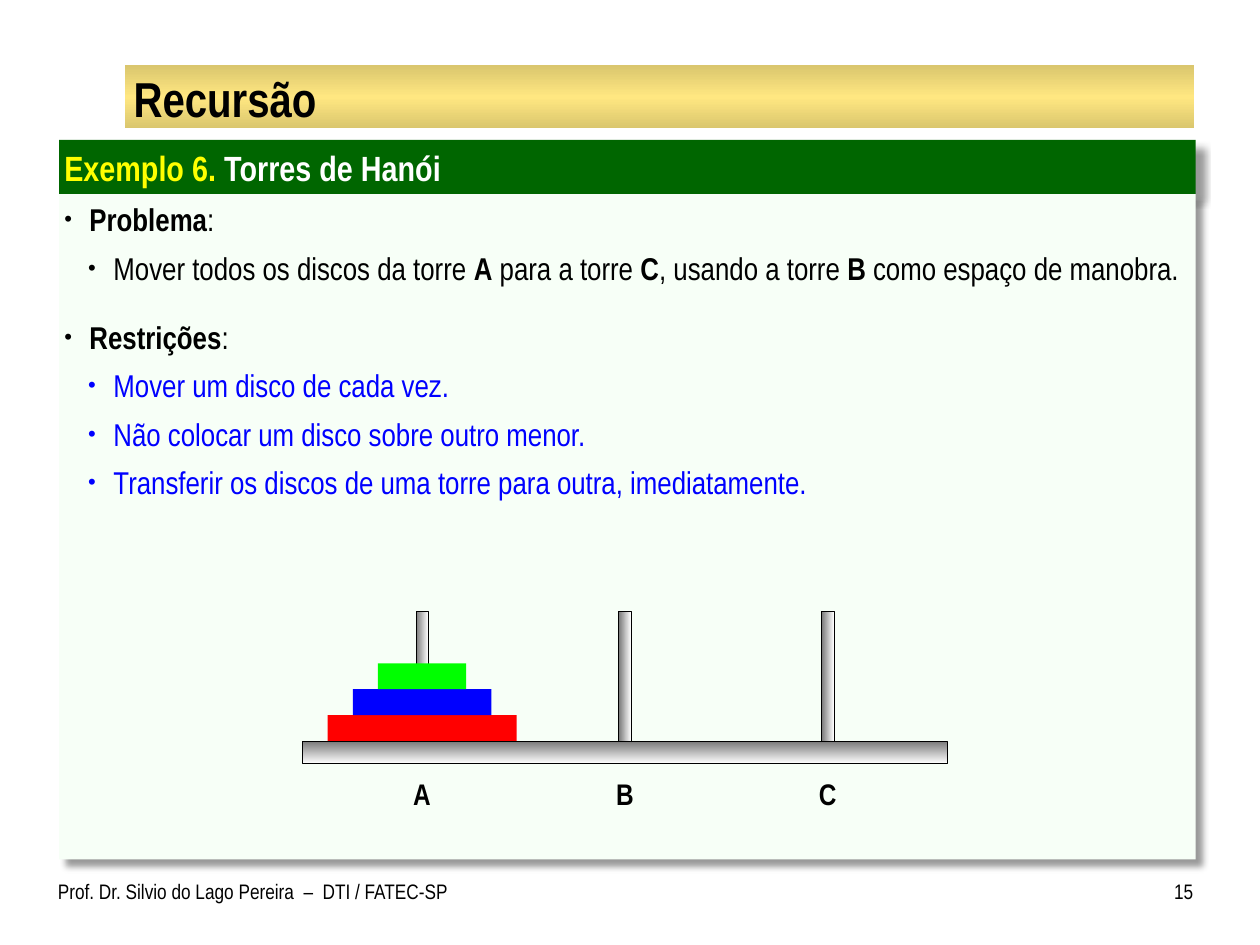
from lxml import etree
from pptx import Presentation
from pptx.dml.color import RGBColor
from pptx.enum.shapes import MSO_SHAPE
from pptx.enum.text import MSO_ANCHOR, PP_ALIGN
from pptx.oxml.ns import qn
from pptx.util import Inches, Pt

RECTANGLE = MSO_SHAPE.RECTANGLE
TOP, MIDDLE = MSO_ANCHOR.TOP, MSO_ANCHOR.MIDDLE
LEFT, CENTER, RIGHT = PP_ALIGN.LEFT, PP_ALIGN.CENTER, PP_ALIGN.RIGHT

FONT = "Arial Narrow"
BLACK = RGBColor(0x00, 0x00, 0x00)
WHITE = RGBColor(0xFF, 0xFF, 0xFF)
YELLOW = RGBColor(0xFF, 0xFF, 0x00)
GREEN = RGBColor(0x00, 0x66, 0x00)
MINT = RGBColor(0xF7, 0xFF, 0xF7)
DARK_GOLD = RGBColor(0xDA, 0xC6, 0x6E)
GOLD = RGBColor(0xFF, 0xE7, 0x81)
GRAY = RGBColor(0x76, 0x76, 0x76)
LIME = RGBColor(0x00, 0xFF, 0x00)
BLUE = RGBColor(0x00, 0x00, 0xFF)
RED = RGBColor(0xFF, 0x00, 0x00)

TOPICS = [
    (0, 0, [("Problema", True, BLACK), (":", False, BLACK)]),
    (1, 6, [("Mover todos os discos da torre ", False, BLACK), ("A", True, BLACK),
            (" para a torre ", False, BLACK), ("C", True, BLACK),
            (", usando a torre ", False, BLACK), ("B", True, BLACK),
            (" como espaço de manobra.", False, BLACK)]),
    (0, 18, [("Restrições", True, BLACK), (":", False, BLACK)]),
    (1, 6, [("Mover um disco de cada vez.", False, BLUE)]),
    (1, 6, [("Não colocar um disco sobre outro menor.", False, BLUE)]),
    (1, 6, [("Transferir os discos de uma torre para outra, imediatamente.", False, BLUE)]),
]


def add_block(slide, box, color=None):
    """Add a flat rectangle without outline or shadow."""
    block = slide.shapes.add_shape(RECTANGLE, *map(Inches, box))
    block.shadow.inherit = False
    block.line.fill.background()
    if color is not None:
        block.fill.solid()
        block.fill.fore_color.rgb = color
    return block


def add_gradient_block(slide, box, colors, angle, outlined=False):
    """Add a rectangle whose colours are spread evenly along a clockwise angle."""
    block = add_block(slide, box)
    block.fill.gradient()
    block.fill.gradient_angle = -angle % 360
    stops = block.fill._fill._gradFill.find(qn("a:gsLst"))
    for stop in list(stops):
        stops.remove(stop)
    for index, color in enumerate(colors):
        position = 100000 * index // (len(colors) - 1)
        stop = etree.SubElement(stops, qn("a:gs"), pos=str(position))
        etree.SubElement(stop, qn("a:srgbClr"), val=str(color))
    if outlined:
        block.line.color.rgb = BLACK
        block.line.width = Pt(0.25)


def cast_shadow(block):
    """Give a block a soft shadow towards the lower right."""
    effects = block._element.spPr.find(qn("a:effectLst"))
    shadow = etree.SubElement(effects, qn("a:outerShdw"), blurRad=str(Pt(4)),
                              dist=str(Pt(6)), dir="2700000", algn="tl", rotWithShape="0")
    color = etree.SubElement(shadow, qn("a:srgbClr"), val=str(BLACK))
    etree.SubElement(color, qn("a:alpha"), val="40000")


def set_frame(shape, insets, anchor=TOP, wrap=True):
    """Set the margins, anchor and wrapping of a text frame and return it."""
    frame = shape.text_frame
    frame.word_wrap = wrap
    frame.vertical_anchor = anchor
    (frame.margin_left, frame.margin_top,
     frame.margin_right, frame.margin_bottom) = map(Inches, insets)
    return frame


def add_runs(paragraph, runs, size, align=LEFT):
    """Append (text, bold, colour) runs to a paragraph."""
    paragraph.alignment = align
    for text, bold, color in runs:
        run = paragraph.add_run()
        run.text = text
        run.font.name = FONT
        run.font.size = Pt(size)
        run.font.bold = bold
        run.font.color.rgb = color


def add_label(slide, box, run, size, insets, align=LEFT, anchor=TOP, wrap=True):
    """Add a text box that holds one run."""
    label = slide.shapes.add_textbox(*map(Inches, box))
    frame = set_frame(label, insets, anchor, wrap)
    add_runs(frame.paragraphs[0], [run], size, align)


def add_bullet(paragraph, level):
    """Give a paragraph a hanging round bullet for its level."""
    paragraph.level = level
    properties = paragraph._p.get_or_add_pPr()
    properties.set("marL", str(Inches((0.2, 0.39)[level])))
    properties.set("indent", str(Inches(-0.2)))
    etree.SubElement(properties, qn("a:buSzPct"), val="70000")
    etree.SubElement(properties, qn("a:buFont"), typeface="Arial")
    etree.SubElement(properties, qn("a:buChar"), char="•")


def add_title(slide, left, top, width, height):
    """Draw the golden band with the slide title."""
    add_gradient_block(slide, (left, top, width, height), (DARK_GOLD, GOLD, DARK_GOLD), 90)
    add_label(slide, (left, top + 0.02, width, height - 0.03), ("Recursão", True, BLACK), 28,
              (0.07, 0.01, 0.06, 0.01), anchor=MIDDLE)


def add_example(slide, left, top, width, height):
    """Draw the example heading and the panel of topics below it."""
    insets = (0.04, 0.05, 0.04, 0.05)
    heading_height = 0.43
    heading = add_block(slide, (left, top, width, heading_height), GREEN)
    panel = add_block(slide, (left, top + heading_height, width, height - heading_height), MINT)
    for block in (heading, panel):
        cast_shadow(block)
    add_runs(set_frame(heading, insets).paragraphs[0],
             [("Exemplo 6.", True, YELLOW), (" Torres de Hanói", True, WHITE)], 20)
    frame = set_frame(panel, insets)
    for index, (level, space, runs) in enumerate(TOPICS):
        paragraph = frame.add_paragraph() if index else frame.paragraphs[0]
        paragraph.space_before = Pt(space)
        add_bullet(paragraph, level)
        add_runs(paragraph, runs, 18)


def add_towers(slide, left, top, width, height):
    """Draw the base, the three labelled towers and the stack of discs."""
    peg_width, peg_height, base_height = 0.1, 1.03, 0.18
    label_width, label_height = 0.4, 0.41
    disc_height, pitch = 0.205, 1.61
    base_top = top + peg_height
    first_center = left + width / 2 - pitch
    add_gradient_block(slide, (left, base_top, width, base_height), (GRAY, WHITE), 90, True)
    for index, name in enumerate("ABC"):
        center = first_center + index * pitch
        add_gradient_block(slide, (center - peg_width / 2, top, peg_width, peg_height),
                           (GRAY, WHITE), 0, True)
        add_label(slide, (center - label_width / 2, top + height - label_height,
                          label_width, label_height),
                  (name, True, BLACK), 17, (0.1, 0.05, 0.1, 0.05), CENTER, MIDDLE, False)
    for index, color in enumerate((RED, BLUE, LIME)):
        disc_width = 1.5 - 0.4 * index
        add_block(slide, (first_center - disc_width / 2, base_top - (index + 1) * disc_height,
                          disc_width, disc_height), color)


def add_footer(slide, left, top, width, height):
    """Place the author at the left and the page number at the right."""
    author_width, number_width = 3.27, 0.39
    add_label(slide, (left, top, author_width, height),
              ("Prof. Dr. Silvio do Lago Pereira  –  DTI / FATEC-SP", False, BLACK), 12,
              (0, 0.05, 0.1, 0.05))
    add_label(slide, (left + width - number_width, top, number_width, height),
              ("15", False, BLACK), 12, (0.1, 0.05, 0, 0.05), RIGHT)


def main():
    """Build the slide and save it."""
    presentation = Presentation()
    presentation.slide_width = Inches(10)
    presentation.slide_height = Inches(7.5)
    slide = presentation.slides.add_slide(presentation.slide_layouts[6])
    add_title(slide, 0.99, 0.52, 8.49, 0.5)
    add_example(slide, 0.47, 1.11, 9.02, 5.71)
    add_towers(slide, 2.4, 4.85, 5.12, 1.65)
    add_footer(slide, 0.46, 6.92, 9.01, 0.42)
    presentation.save("out.pptx")


if __name__ == "__main__":
    main()
